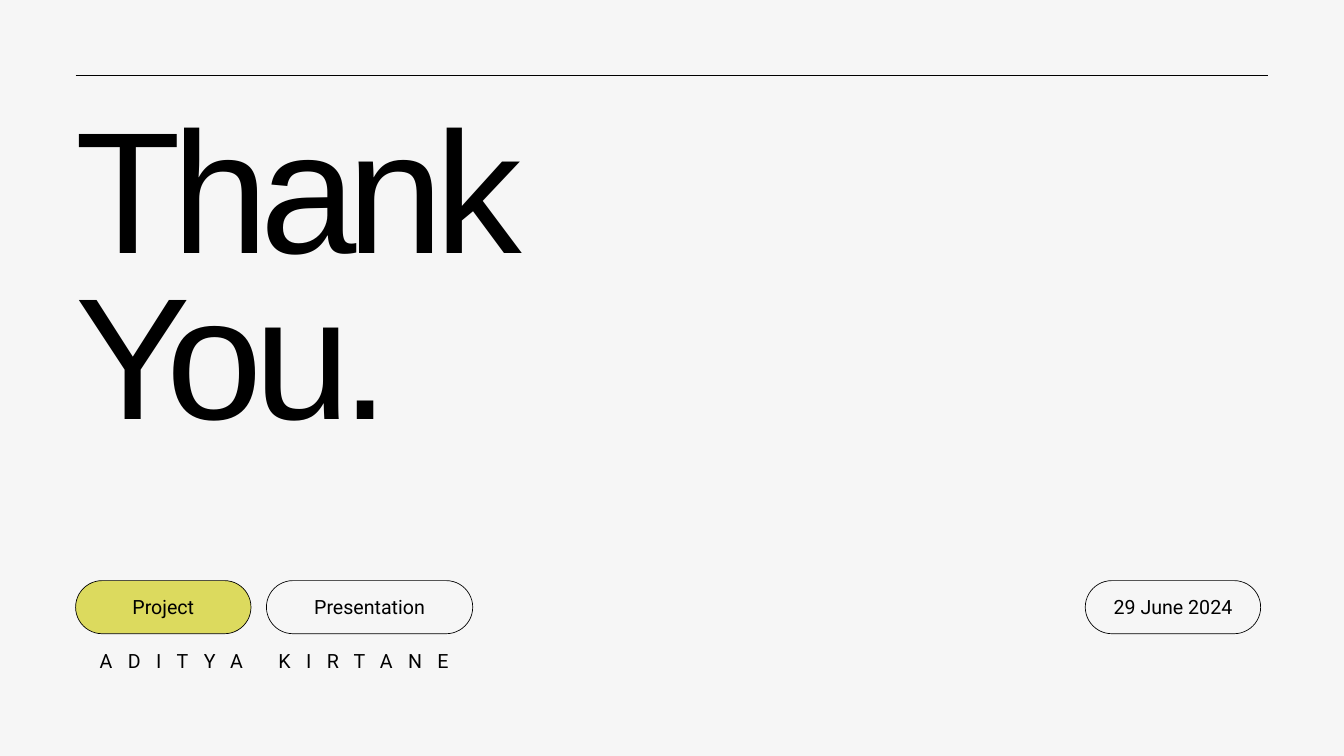
from dataclasses import dataclass
from typing import Optional

from lxml import etree
from pptx import Presentation
from pptx.dml.color import RGBColor
from pptx.enum.shapes import MSO_CONNECTOR, MSO_SHAPE
from pptx.enum.text import MSO_AUTO_SIZE, PP_ALIGN
from pptx.oxml.ns import qn
from pptx.util import Inches, Pt

STRAIGHT = MSO_CONNECTOR.STRAIGHT
ROUNDED = MSO_SHAPE.ROUNDED_RECTANGLE
LEFT, CENTER = PP_ALIGN.LEFT, PP_ALIGN.CENTER
GROW = MSO_AUTO_SIZE.SHAPE_TO_FIT_TEXT

# Slide grid in inches
WIDTH, HEIGHT = 20, 11.25
MARGIN = HEIGHT / 10
PILL_TOP, PILL_HEIGHT = 8.64, 0.79
PILL_GAP = 0.23
LABEL_DROP, LABEL_HEIGHT = 0.22, 0.34
SHORT_PILL, LONG_PILL = 2.61, 3.07
SECOND_PILL_LEFT = MARGIN + SHORT_PILL + PILL_GAP

INK, PAPER, LIME = "000000", "F6F6F6", "DCDA5E"


@dataclass
class TextStyle:
    font: str
    size: float
    leading: float
    align: PP_ALIGN
    tracking: float = 0


@dataclass
class Pill:
    label: str
    left: float
    width: float
    fill: Optional[str] = None


TITLE = TextStyle("Arial", 185.4, 178, LEFT, -9.3)
LABEL = TextStyle("Roboto", 21, 25.2, CENTER)
AUTHOR = TextStyle("Roboto", 21, 25.2, CENTER, 16.5)

PILLS = [
    Pill("Presentation", SECOND_PILL_LEFT, LONG_PILL),
    Pill("29 June 2024", 16.15, SHORT_PILL),
    Pill("Project", MARGIN, SHORT_PILL, LIME),
]


def color(value: str) -> RGBColor:
    return RGBColor.from_string(value)


def add_text(page, text: str, left: float, top: float, width: float,
             height: float, style: TextStyle) -> None:
    box = page.shapes.add_textbox(
        Inches(left), Inches(top), Inches(width), Inches(height))
    frame = box.text_frame
    frame.margin_left = frame.margin_right = 0
    frame.margin_top = frame.margin_bottom = 0
    frame.word_wrap = True
    frame.auto_size = GROW
    frame.text = text
    para = frame.paragraphs[0]
    para.alignment = style.align
    para.line_spacing = Pt(style.leading)
    span = para.runs[0]
    span.font.name = style.font
    span.font.size = Pt(style.size)
    span.font.color.rgb = color(INK)
    if style.tracking:
        # Letter spacing is stored in hundredths of a point
        span.font._element.set("spc", str(round(style.tracking * 100)))


def add_rule(page, left: float, right: float, top: float) -> None:
    rule = page.shapes.add_connector(
        STRAIGHT, Inches(left), Inches(top), Inches(right), Inches(top))
    rule.line.color.rgb = color(INK)
    rule.line.width = Pt(0.75)
    etree.SubElement(rule._element.spPr, qn("a:effectLst"))


def add_pill(page, pill: Pill) -> None:
    shape = page.shapes.add_shape(
        ROUNDED, Inches(pill.left), Inches(PILL_TOP),
        Inches(pill.width), Inches(PILL_HEIGHT))
    shape.adjustments[0] = 0.5
    shape.shadow.inherit = False
    shape.line.color.rgb = color(INK)
    shape.line.width = Pt(0.75)
    if pill.fill:
        shape.fill.solid()
        shape.fill.fore_color.rgb = color(pill.fill)
    else:
        shape.fill.background()


def main() -> None:
    deck = Presentation()
    deck.slide_width, deck.slide_height = Inches(WIDTH), Inches(HEIGHT)
    page = deck.slides.add_slide(deck.slide_layouts[6])
    page.background.fill.solid()
    page.background.fill.fore_color.rgb = color(PAPER)

    # Title and the rule above it
    add_text(page, "Thank You.", MARGIN, 1.82, 9.15, 5.49, TITLE)
    add_rule(page, MARGIN, WIDTH - MARGIN, MARGIN)

    # Pills, then their labels
    for pill in PILLS:
        add_pill(page, pill)
    for pill in PILLS:
        add_text(page, pill.label, pill.left, PILL_TOP + LABEL_DROP,
                 pill.width, LABEL_HEIGHT, LABEL)

    # Author, centred under the two left pills
    add_text(page, "ADITYA KIRTANE", MARGIN, PILL_TOP + PILL_HEIGHT + LABEL_DROP,
             SECOND_PILL_LEFT + LONG_PILL - MARGIN, LABEL_HEIGHT, AUTHOR)

    deck.save("out.pptx")


if __name__ == "__main__":
    main()
